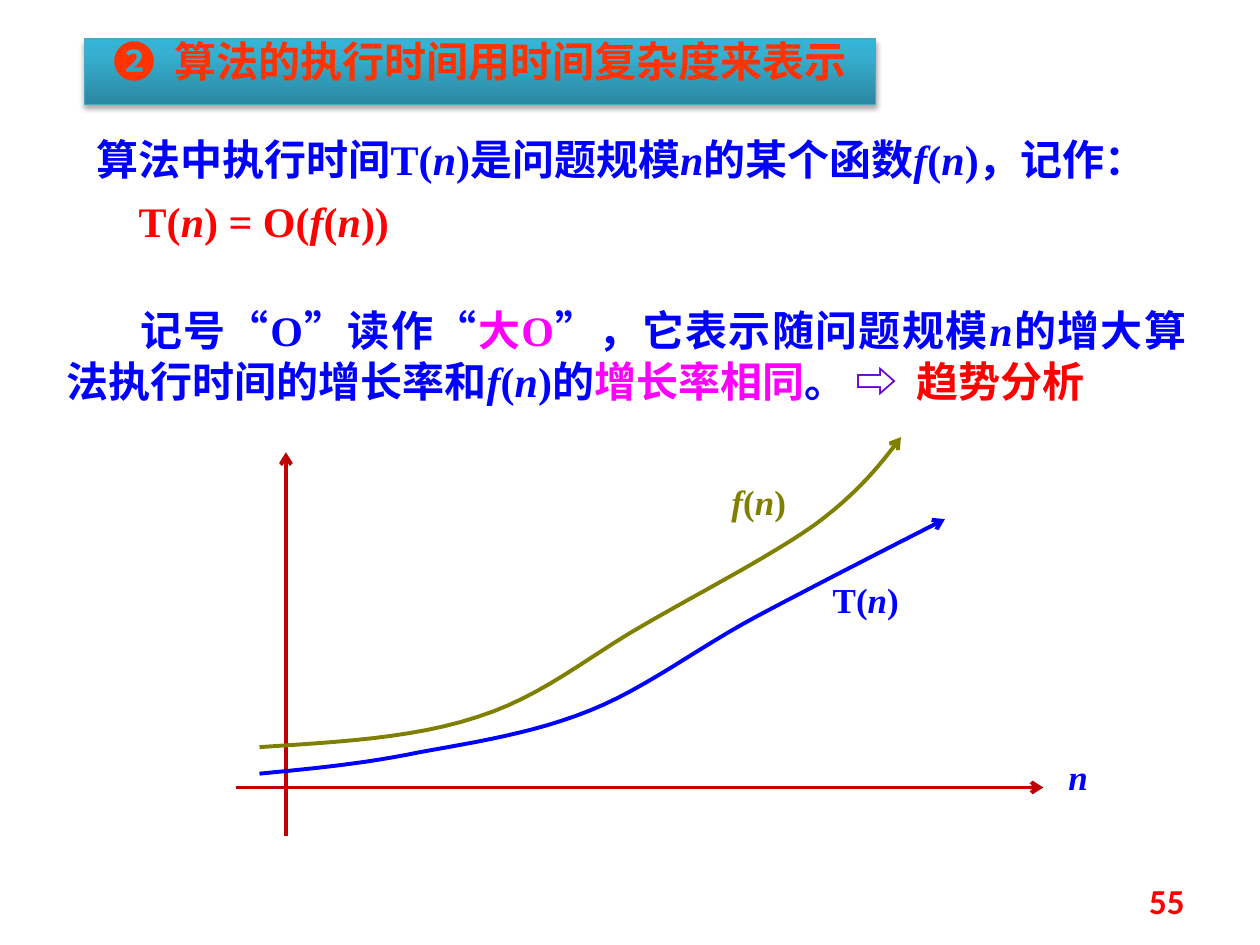
from lxml import etree
from pptx import Presentation
from pptx import util as u
from pptx.dml.color import RGBColor
from pptx.enum import shapes, text
from pptx.oxml import parse_xml
from pptx.oxml.ns import nsdecls, qn

Pt = u.Pt
COLORS = {"blue": "0000FF", "red": "FF0000", "magenta": "FF00FF", "olive": "808000",
          "orange": "FF3300", "purple": "6600CC", "axis": "C00000", "border": "46AAC5"}
SERIF, SANS = "Times New Roman", "Calibri"
LEFT, CENTER, RIGHT, JUSTIFY = (text.PP_ALIGN.LEFT, text.PP_ALIGN.CENTER,
                                text.PP_ALIGN.RIGHT, text.PP_ALIGN.JUSTIFY)


def write(para, parts, size, align, spacing=0.8, font=SERIF, indent=0):
    para.alignment = align
    para.line_spacing = spacing
    para.space_before = Pt(size / 2)
    para.font.size, para.font.name, para.font.bold = Pt(size), font, True
    if indent:
        para._p.get_or_add_pPr().set("indent", str(Pt(indent)))
    for color, words in parts:
        for i, piece in enumerate(words.split("*")):
            if piece:
                span = para.add_run()
                span.text = piece
                span.font.size, span.font.name, span.font.bold = Pt(size), font, True
                span.font.italic = i % 2 == 1
                span.font.color.rgb = RGBColor.from_string(COLORS[color])


def add_box(left, top, width, height):
    box = page.shapes.add_textbox(Pt(left), Pt(top), Pt(width), Pt(height))
    box.text_frame.word_wrap = True
    return box


deck = Presentation()
deck.slide_width, deck.slide_height = Pt(720), Pt(540)
page = deck.slides.add_slide(deck.slide_layouts[6])

definition = add_box(48.2, 78.5, 617.8, 85.7).text_frame
write(definition.paragraphs[0],
      [("blue", "算法中执行时间T(*n*)是问题规模*n*的某个函数*f*(*n*)，记作：")], 24, JUSTIFY)
write(definition.add_paragraph(), [("red", "T(*n*) = O(*f*(*n*))")], 24, JUSTIFY, indent=24)

banner = page.shapes.add_shape(shapes.MSO_SHAPE.RECTANGLE, Pt(48.2), Pt(22.3), Pt(452.2), Pt(37.4))
banner.fill.background()
banner.line.color.rgb = RGBColor.from_string(COLORS["border"])
banner.line.width = Pt(0.75)
stops = "".join(f'<a:gs pos="{pos}000"><a:srgbClr val="{color}"/></a:gs>'
                for pos, color in [(0, "2A88A2"), (80, "37B1D2"), (100, "34B4D6")])
properties = banner._element.spPr
properties.replace(properties.find(qn("a:noFill")), parse_xml(
    f'<a:gradFill {nsdecls("a")} rotWithShape="1"><a:gsLst>{stops}</a:gsLst>'
    '<a:lin ang="16200000" scaled="0"/></a:gradFill>'))
properties.append(parse_xml(
    f'<a:effectLst {nsdecls("a")}><a:outerShdw blurRad="{Pt(3.1)}" dist="{Pt(1.8)}" dir="5400000" '
    'rotWithShape="0"><a:srgbClr val="000000"><a:alpha val="35000"/></a:srgbClr>'
    '</a:outerShdw></a:effectLst>'))
banner.text_frame.word_wrap = True
banner.text_frame.vertical_anchor = text.MSO_ANCHOR.TOP
write(banner.text_frame.paragraphs[0], [("orange", "❷  算法的执行时间用时间复杂度来表示")],
      24, CENTER, font=SANS)

notation = add_box(31, 170.6, 653.8, 65.5).text_frame
write(notation.paragraphs[0],
      [("blue", "记号“O”读作“"), ("magenta", "大O"),
       ("blue", "”，它表示随问题规模*n*的增大算法执行时间的增长率和*f*(*n*)的"),
       ("magenta", "增长率相同"), ("blue", "。 "), ("purple", "⇨  "), ("red", "趋势分析")],
      24, JUSTIFY, spacing=1.0, indent=42)

arrows = []
for start_x, start_y, end_x, end_y in [(134.6, 450, 596.2, 450), (163.4, 478, 163.4, 258.5)]:
    axis = page.shapes.add_connector(shapes.MSO_CONNECTOR.STRAIGHT,
                                     Pt(start_x), Pt(start_y), Pt(end_x), Pt(end_y))
    etree.SubElement(axis._element.spPr, qn("a:effectLst"))
    arrows.append((axis, "axis"))

curves = {
    "olive": [(2.06, 5.93), (2.67, 5.89), (3.28, 5.86), (3.79, 5.69), (4.3, 5.53), (4.67, 5.21),
              (5.11, 4.96), (5.56, 4.7), (6.12, 4.41), (6.46, 4.17), (6.8, 3.92), (6.98, 3.7),
              (7.15, 3.47)],
    "blue": [(2.06, 6.14), (2.48, 6.1), (2.9, 6.06), (3.33, 5.97), (3.77, 5.89), (4.23, 5.82),
             (4.68, 5.64), (5.13, 5.46), (5.54, 5.14), (6.01, 4.89), (6.48, 4.64), (6.99, 4.38),
             (7.5, 4.12)],
}
STEPS = 12
for color, knots in curves.items():
    points = []
    for k in range(0, len(knots) - 1, 3):
        for step in range(1, STEPS + 1):
            t = step / STEPS
            weights = [(1 - t) ** 3, 3 * t * (1 - t) ** 2, 3 * t * t * (1 - t), t ** 3]
            points.append([Pt(72 * sum(w * knot[d] for w, knot in zip(weights, knots[k:k + 4])))
                           for d in (0, 1)])
    builder = page.shapes.build_freeform(Pt(72 * knots[0][0]), Pt(72 * knots[0][1]))
    builder.add_line_segments(points, close=False)
    curve = builder.convert_to_shape()
    curve.fill.background()
    curve.shadow.inherit = False
    arrows.append((curve, color))

for arrow, color in arrows:
    arrow.line.color.rgb = RGBColor.from_string(COLORS[color])
    arrow.line.width = Pt(2.25)
    etree.SubElement(arrow.line._get_or_add_ln(), qn("a:tailEnd"), type="arrow")

for left, top, width, height, color, words in [
        (466.6, 331.9, 56.2, 33.8, "blue", "T(*n*)"),
        (596.2, 432.7, 39.6, 33.8, "blue", "*n*"),
        (405.4, 275.8, 56.2, 31.7, "olive", "*f*(*n*)")]:
    label = add_box(left, top, width, height).text_frame
    write(label.paragraphs[0], [(color, words)], 20, CENTER)

number = add_box(516.2, 500.4, 167.8, 28.8).text_frame
number.vertical_anchor = text.MSO_ANCHOR.MIDDLE
write(number.paragraphs[0], [("red", "55")], 20, RIGHT, spacing=1.0, font=SANS)

deck.save("out.pptx")
